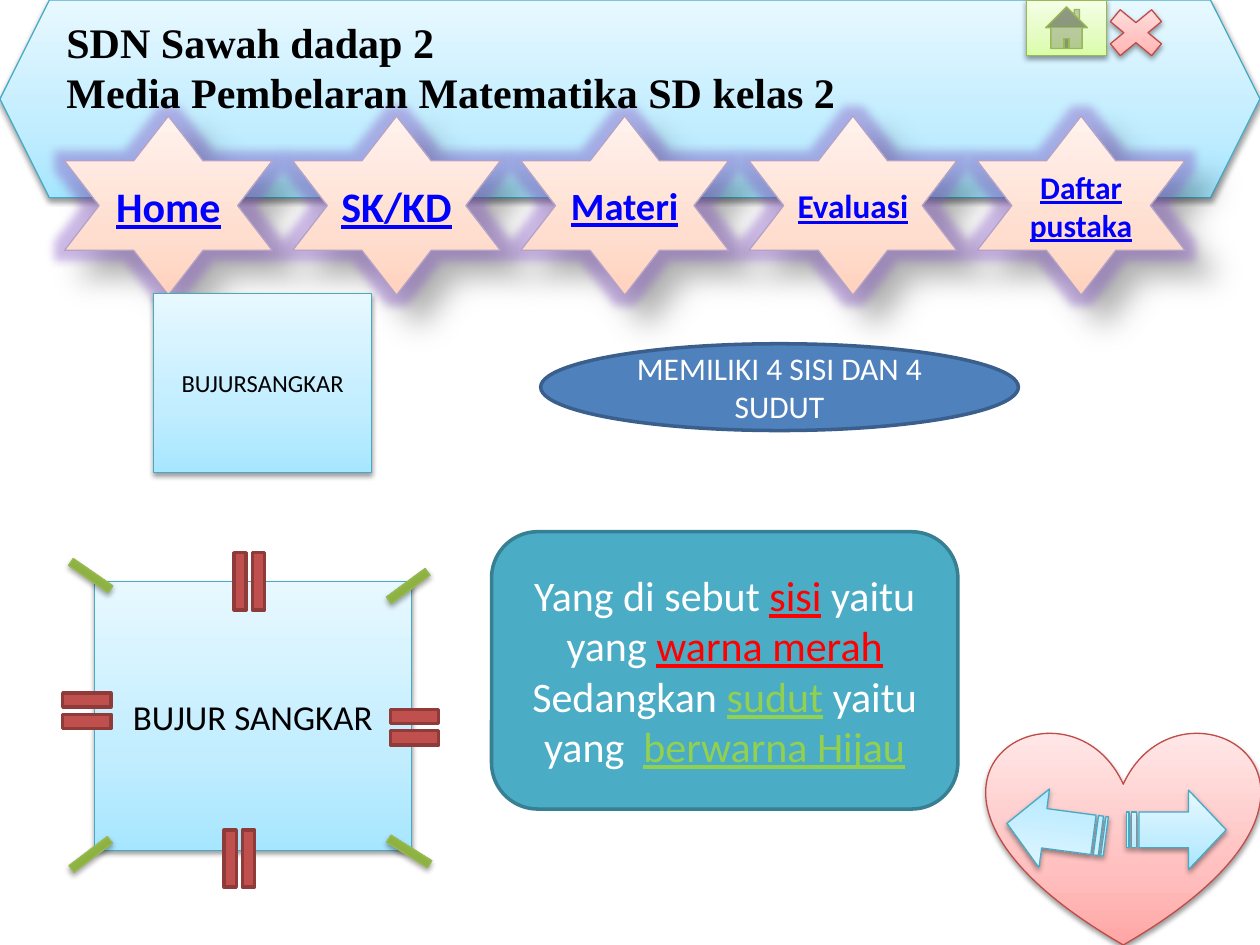
from lxml.etree import SubElement
from pptx import Presentation
from pptx.dml.color import RGBColor
from pptx.enum.shapes import MSO_SHAPE
from pptx.enum.text import MSO_AUTO_SIZE, PP_ALIGN
from pptx.oxml.ns import qn
from pptx.util import Cm, Pt

HUES = {
    "black": "000000", "white": "FFFFFF", "link": "0000FF", "glow": "8050C0",
    "red": "FF0000", "lime": "92D050",
    "blue": "4F81BD", "navy": "3A5F8C", "teal": "4BACC6", "deep": "377F92",
    "brick": "C0504D", "wine": "8E3B39",
    "sky": "46AAC5", "lilac": "B3A2C7", "leaf": "98B955", "rose": "BF4C48",
}
# Gradient stops, from bottom to top
FADES = {
    "sky": [(0, "A7E6FF"), (35, "C1EDFF"), (100, "E7F8FF")],
    "lilac": [(0, "FFD2BD"), (35, "FFDED0"), (100, "FFF2ED")],
    "leaf": [(0, "DAFDA7"), (35, "E4FCC2"), (100, "F5FFE7")],
    "rose": [(0, "FFA6A5"), (35, "FFC0BF"), (100, "FFE7E7")],
    "moss": [(0, "779737"), (80, "9BC348"), (100, "9DC746")],
}
# Shadows: opacity %, blur pt, distance pt, angle
SOFT = (38, 3.1, 1.6, 90)
FAR = (30, 15, 18, 45)


def rgb(name):
    return RGBColor.from_string(HUES[name])


def add_hue(node, hue, alpha):
    tint = SubElement(node, qn("a:srgbClr"), val=hue)
    SubElement(tint, qn("a:alpha"), val=str(alpha * 1000))


def add_form(slide, kind, box, line, width=0.75, turn=0, adj=()):
    form = slide.shapes.add_shape(kind, *map(Cm, box))
    form.rotation = turn
    form.shadow.inherit = False
    form.line.color.rgb = rgb(line)
    form.line.width = Pt(width)
    for i, value in enumerate(adj):
        form.adjustments[i] = value
    return form


def add_flat(slide, kind, box, fill, line, turn=0):
    form = add_form(slide, kind, box, line, 2, turn)
    form.fill.solid()
    form.fill.fore_color.rgb = rgb(fill)
    return form


def add_fade(slide, kind, box, line, fade=None, shade=SOFT, glow=0, **more):
    form = add_form(slide, kind, box, line, **more)
    form.fill.gradient()
    form.fill.gradient_angle = 90
    props = form._element.spPr
    stops = props.find(".//" + qn("a:gsLst"))
    stops[:] = []
    for pos, hue in FADES[fade or line]:
        stop = SubElement(stops, qn("a:gs"), pos=str(pos * 1000))
        SubElement(stop, qn("a:srgbClr"), val=hue)
    # Glow and shadow
    effects = props.find(qn("a:effectLst"))
    if glow:
        halo = SubElement(effects, qn("a:glow"), rad=str(Pt(glow)))
        add_hue(halo, HUES["glow"], 40)
    alpha, blur, dist, angle = shade
    shadow = SubElement(effects, qn("a:outerShdw"), blurRad=str(Pt(blur)),
                        dist=str(Pt(dist)), dir=str(angle * 60000), rotWithShape="0")
    add_hue(shadow, HUES["black"], alpha)
    return form


def add_text(form, rows, size, hue, face="Calibri", bold=False, line=False,
             align=PP_ALIGN.CENTER):
    """Each row is a list of (text, accent hue or None); accents are underlined."""
    frame = form.text_frame
    frame.word_wrap = True
    for i, row in enumerate(rows):
        para = frame.paragraphs[0] if i == 0 else frame.add_paragraph()
        para.alignment = align
        font = para.font
        font.size, font.name, font.bold, font.underline = Pt(size), face, bold, line
        font.color.rgb = rgb(hue)
        for text, accent in row:
            run = para.add_run()
            run.text = text
            # Runs carry their own hue and underline
            run.font.color.rgb = rgb(accent or hue)
            run.font.underline = line or bool(accent)


def add_menu(slide):
    items = [("Home", 24), ("SK/KD", 24), ("Materi", 22), ("Evaluasi", 19),
             ("Daftar pustaka", 18)]
    for i, (label, size) in enumerate(items):
        star = add_fade(slide, MSO_SHAPE.STAR_6_POINT, (1.3 + 4.6 * i, 2.34, 4.19, 3.61),
                        "lilac", shade=FAR, glow=11)
        add_text(star, [[(label, None)]], size, "link", bold=True, line=True)


def add_head(slide):
    add_fade(slide, MSO_SHAPE.HEXAGON, (0, 0, 25.4, 3.99), "sky")
    add_menu(slide)
    title = slide.shapes.add_textbox(Cm(1.09), Cm(0.2), Cm(16.2), Cm(2.31))
    rows = [[("SDN Sawah dadap 2", None)],
            [("Media Pembelaran Matematika SD kelas 2", None)]]
    add_text(title, rows, 24, "black", "Times New Roman", bold=True, align=PP_ALIGN.LEFT)
    title.text_frame.auto_size = MSO_AUTO_SIZE.SHAPE_TO_FIT_TEXT


def add_keys(slide):
    add_fade(slide, MSO_SHAPE.ACTION_BUTTON_HOME, (20.7, 0, 1.6, 1.12), "leaf")
    add_fade(slide, MSO_SHAPE.HEART, (19.89, 14.73, 5.51, 4.32), "rose")
    for left, turn, stem in [(22.71, 0, 0.449), (20.29, 187.6, 0.5)]:
        add_fade(slide, MSO_SHAPE.STRIPED_RIGHT_ARROW, (left, 15.93, 2.01, 1.6), "sky",
                 turn=turn, adj=(stem, 0.474))
    add_fade(slide, MSO_SHAPE.MATH_MULTIPLY, (22.1, 0, 1.6, 1.32), "rose")


def add_square(slide):
    square = add_fade(slide, MSO_SHAPE.RECTANGLE, (1.9, 11.73, 6.4, 5.41), "sky")
    add_text(square, [[("BUJUR SANGKAR", None)]], 20, "black")
    # Side marks
    for box, turn in [((7.7, 14.05, 1.32, 1.22), 0), ((4.24, 11.2, 1.57, 1.04), 90),
                      ((4.04, 16.79, 1.57, 1.04), 90), ((1.09, 13.72, 1.32, 1.22), 0)]:
        add_flat(slide, MSO_SHAPE.MATH_EQUAL, box, "brick", "wine", turn)
    # Corner marks
    for left, top, turn in [(7.59, 16.81, 32), (1.17, 16.87, 322.9),
                            (7.57, 11.46, 323.7), (1.17, 11.25, 34.6)]:
        add_fade(slide, MSO_SHAPE.MATH_MINUS, (left, top, 1.32, 0.71), "leaf", "moss",
                 shade=(35, 3.1, 1.8, 90), turn=turn)


def add_body(slide):
    small = add_fade(slide, MSO_SHAPE.RECTANGLE, (3.1, 5.92, 4.39, 3.61), "sky")
    add_text(small, [[("BUJURSANGKAR", None)]], 14, "black")
    fact = add_flat(slide, MSO_SHAPE.OVAL, (10.9, 6.93, 9.63, 1.75), "blue", "navy")
    add_text(fact, [[("MEMILIKI 4 SISI DAN 4 SUDUT", None)]], 18, "white")
    add_square(slide)
    note = add_flat(slide, MSO_SHAPE.ROUNDED_RECTANGLE, (9.91, 10.72, 9.4, 5.59),
                    "teal", "deep")
    rows = [[("Yang di sebut ", None), ("sisi", "red"), (" yaitu yang ", None),
             ("warna merah", "red")],
            [("Sedangkan ", None), ("sudut", "lime"), (" yaitu yang  ", None),
             ("berwarna Hijau", "lime")]]
    add_text(note, rows, 24, "white")


def main():
    deck = Presentation()
    deck.slide_width, deck.slide_height = Cm(25.4), Cm(19.05)
    slide = deck.slides.add_slide(deck.slide_layouts[6])
    add_head(slide)
    add_keys(slide)
    add_body(slide)
    deck.save("out.pptx")


if __name__ == "__main__":
    main()
